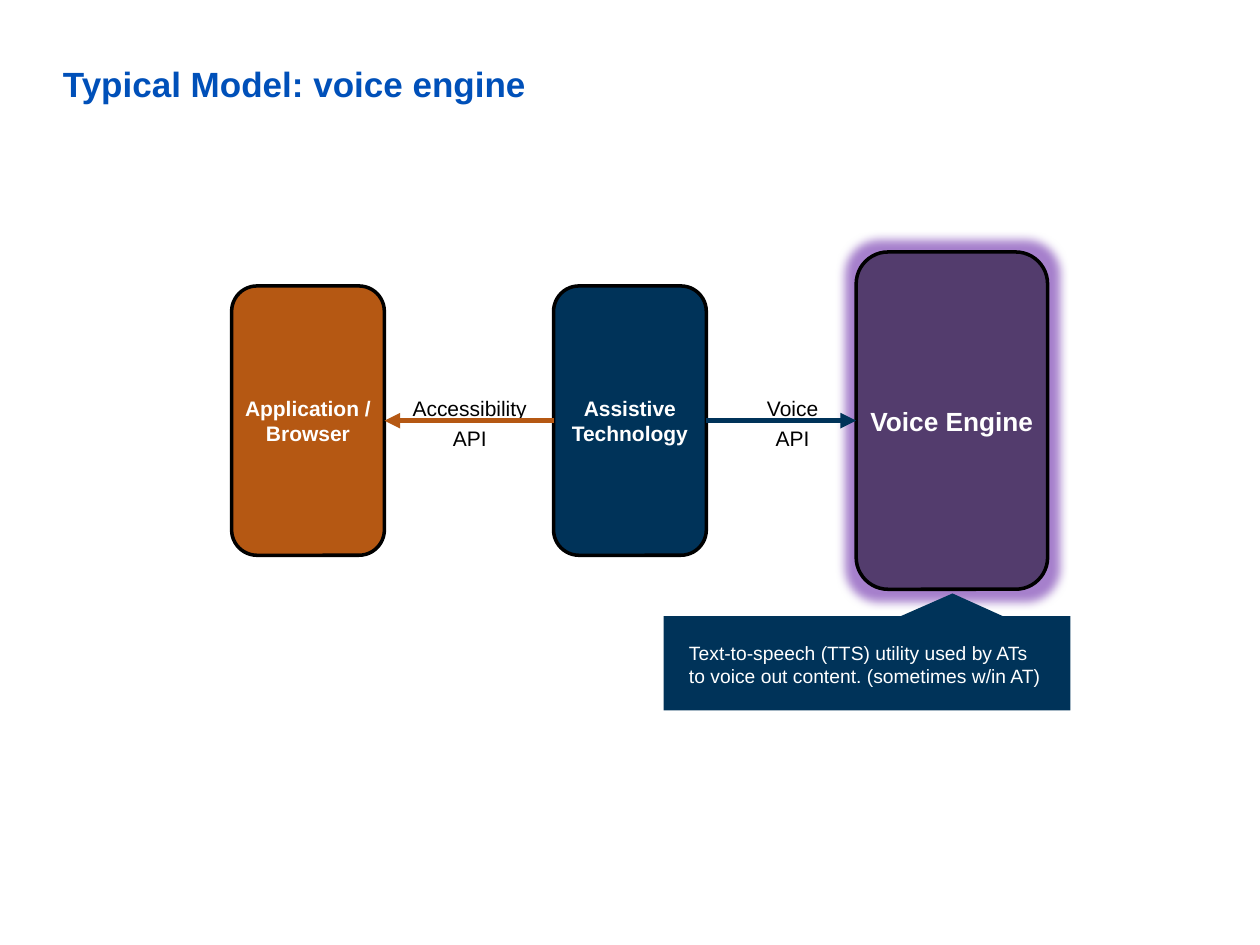
from lxml import etree
from pptx import Presentation
from pptx.dml.color import RGBColor
from pptx.enum.shapes import MSO_CONNECTOR, MSO_SHAPE
from pptx.enum.text import MSO_ANCHOR, PP_ALIGN
from pptx.oxml.ns import qn
from pptx.util import Cm, Pt

ROUNDED = MSO_SHAPE.ROUNDED_RECTANGLE
CALLOUT = MSO_SHAPE.RECTANGULAR_CALLOUT
STRAIGHT = MSO_CONNECTOR.STRAIGHT
LEFT, CENTER = PP_ALIGN.LEFT, PP_ALIGN.CENTER
TOP, MIDDLE = MSO_ANCHOR.TOP, MSO_ANCHOR.MIDDLE
LEFT_SIDE, RIGHT_SIDE = 1, 3

FONT = "Arial"
BLUE, NAVY, ORANGE, PURPLE = "0050B9", "003359", "B55813", "533C6D"
GLOW, WHITE, BLACK = "A680CC", "FFFFFF", "000000"


def color(value):
    """Turn a hex string into a colour."""
    return RGBColor.from_string(value)


def write(shape, text, size, ink, bold=False, align=LEFT, anchor=TOP,
          insets=(0, 0), spacing=None):
    """Set and format the text of a shape; insets are horizontal, vertical."""
    frame = shape.text_frame
    frame.text = text
    frame.word_wrap = True
    frame.vertical_anchor = anchor
    frame.margin_left = frame.margin_right = Cm(insets[0])
    frame.margin_top = frame.margin_bottom = Cm(insets[1])
    for paragraph in frame.paragraphs:
        paragraph.alignment = align
        paragraph.line_spacing = spacing
        for run in paragraph.runs:
            run.font.name = FONT
            run.font.size = Pt(size)
            run.font.bold = bold
            run.font.color.rgb = color(ink)


def add_filled(slide, kind, box, fill):
    """Add a filled shape without shadow or outline."""
    shape = slide.shapes.add_shape(kind, *map(Cm, box))
    shape.shadow.inherit = False
    shape.fill.solid()
    shape.fill.fore_color.rgb = color(fill)
    shape.line.fill.background()
    return shape


def add_component(slide, box, name, size, fill):
    """Add one rounded component of the model."""
    component = add_filled(slide, ROUNDED, box, fill)
    component.line.color.rgb = color(BLACK)
    component.line.width = Pt(2)
    write(component, name, size, WHITE, True, CENTER, MIDDLE, (0, 0.13))
    return component


def add_glow(shape, tint, radius):
    """Surround a shape with a soft glow."""
    effects = shape._element.spPr.find(qn("a:effectLst"))
    glow = etree.SubElement(effects, qn("a:glow"), rad=str(Pt(radius)))
    etree.SubElement(glow, qn("a:srgbClr"), val=tint)


def add_call(slide, caller, caller_side, target, target_side, ink):
    """Add an arrow from a caller to the component it calls."""
    arrow = slide.shapes.add_connector(STRAIGHT, 0, 0, 0, 0)
    arrow.begin_connect(caller, caller_side)
    arrow.end_connect(target, target_side)
    arrow.line.color.rgb = color(ink)
    arrow.line.width = Pt(3)
    etree.SubElement(arrow.line._get_or_add_ln(), qn("a:tailEnd"), type="triangle")
    etree.SubElement(arrow._element.spPr, qn("a:effectLst"))


def add_api_label(slide, box, text):
    """Add the name of an interface around its arrow."""
    label = slide.shapes.add_textbox(*map(Cm, box))
    write(label, text, 12, BLACK, align=CENTER, insets=(0.25, 0.13), spacing=1.2)


def add_title(slide, box, text):
    """Add the slide title."""
    write(slide.shapes.add_textbox(*map(Cm, box)), text, 20, BLUE, True)


def add_model(slide, box):
    """Add the three components and the interfaces between them."""
    left, top, width, height = box
    small_width, small_height, engine_width = 3.08, 5.43, 3.86
    small_top = top + (height - small_height) / 2
    label_top = top + height / 2 - 0.74

    application = add_component(
        slide, (left, small_top, small_width, small_height),
        "Application / Browser", 12, ORANGE)
    assistive = add_component(
        slide, (left + 6.49, small_top, small_width, small_height),
        "Assistive Technology", 12, NAVY)
    engine = add_component(
        slide, (left + width - engine_width, top, engine_width, height),
        "Voice Engine", 15, PURPLE)
    add_glow(engine, GLOW, 11)

    add_api_label(slide, (left + 3.25, label_top, 3.1, 1.42), "Accessibility API")
    add_api_label(slide, (left + 9.76, label_top, 3.1, 1.42), "Voice\nAPI")
    add_call(slide, assistive, LEFT_SIDE, application, RIGHT_SIDE, ORANGE)
    add_call(slide, assistive, RIGHT_SIDE, engine, LEFT_SIDE, NAVY)


def add_explanation(slide, box, text):
    """Add the callout that points up at the voice engine."""
    explanation = add_filled(slide, CALLOUT, box, NAVY)
    explanation.adjustments[0] = 0.21
    explanation.adjustments[1] = -0.74
    write(explanation, text, 11, WHITE, insets=(0.51, 0.51))


def main():
    """Build and save the slide."""
    deck = Presentation()
    deck.slide_width, deck.slide_height = Cm(25.4), Cm(19.05)
    slide = deck.slides.add_slide(deck.slide_layouts[6])
    add_title(slide, (1.27, 1.27, 22.86, 2.34), "Typical Model: voice engine")
    add_model(slide, (4.67, 5.08, 16.45, 6.8))
    add_explanation(
        slide, (13.38, 12.42, 8.2, 1.9),
        "Text-to-speech (TTS) utility used by ATs to voice out content. "
        "(sometimes w/in AT)")
    deck.save("out.pptx")


if __name__ == "__main__":
    main()
